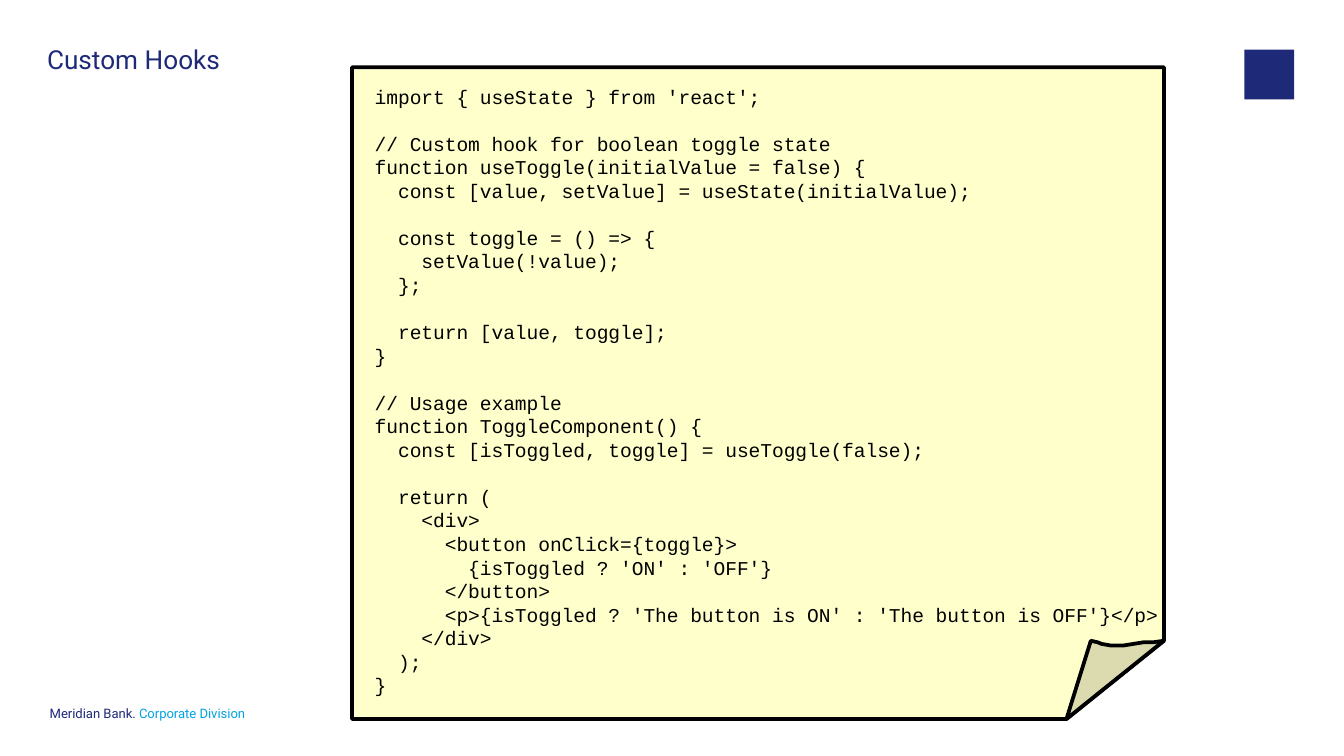
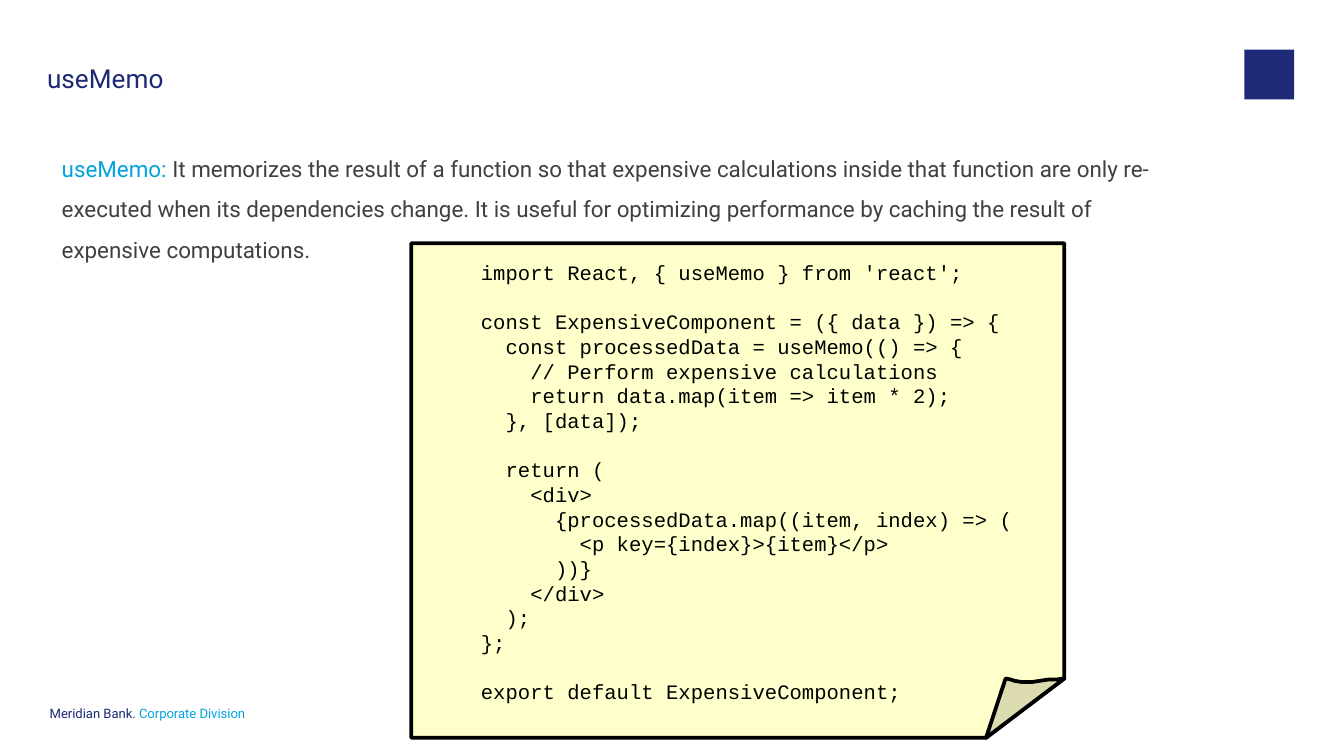
from pptx import Presentation
from pptx.dml.color import RGBColor
from pptx.enum.shapes import MSO_SHAPE
from pptx.enum.text import MSO_ANCHOR, MSO_AUTO_SIZE, PP_ALIGN
from pptx.util import Inches, Pt

COLS, ROWS = 100, 56.25  # square grid cells over the whole 16:9 slide
CELL = Inches(10) / COLS

NAVY, SKY, GREY, BLACK = "1E2A78", "00A3E0", "404040", "000000"
PAPER, CURL = "FFFFCC", "DBDBAF"
SANS, MONO = "Roboto", "Courier New"

FOLD = 0.88  # share of the note's width and height where the corner folds
PAGE_OUTLINE = [(0, 0), (1, 0), (1, FOLD), (FOLD, 1), (0, 1)]
# Points as shares of the folded corner
CURL_OUTLINE = [(1, 0), (0.89, 0.02), (0.79, 0.02), (0.59, 0.06), (0.45, 0.06),
                (0.36, 0.04), (0.32, 0.02), (0.25, 0), (0, 1)]

TOGGLE_CODE = """\
import { useState } from 'react';

// Custom hook for boolean toggle state
function useToggle(initialValue = false) {
  const [value, setValue] = useState(initialValue);

  const toggle = () => {
    setValue(!value);
  };

  return [value, toggle];
}

// Usage example
function ToggleComponent() {
  const [isToggled, toggle] = useToggle(false);

  return (
    <div>
      <button onClick={toggle}>
        {isToggled ? 'ON' : 'OFF'}
      </button>
      <p>{isToggled ? 'The button is ON' : 'The button is OFF'}</p>
    </div>
  );
}"""

MEMO_CODE = """\
import React, { useMemo } from 'react';

const ExpensiveComponent = ({ data }) => {
  const processedData = useMemo(() => {
    // Perform expensive calculations
    return data.map(item => item * 2);
  }, [data]);

  return (
    <div>
      {processedData.map((item, index) => (
        <p key={index}>{item}</p>
      ))}
    </div>
  );
};

export default ExpensiveComponent;"""

MEMO_TEXT = ("It memorizes the result of a function so that expensive calculations inside "
             "that function are only re-executed when its dependencies change. It is useful "
             "for optimizing performance by caching the result of expensive computations.")


def grid(*cells):
    """Turn grid cells into slide lengths."""
    return [round(c * CELL) for c in cells]


def rgb(hex_string):
    return RGBColor.from_string(hex_string)


def add_run(p, text, size, color, font=SANS):
    r = p.add_run()
    r.text = text
    r.font.size = Pt(size)
    r.font.name = font
    r.font.color.rgb = rgb(color)


def setup_frame(tf, margin_x=0, margin_y=0):
    tf.word_wrap = True
    tf.auto_size = MSO_AUTO_SIZE.NONE
    tf.vertical_anchor = MSO_ANCHOR.TOP
    tf.margin_left = tf.margin_right = Inches(margin_x)
    tf.margin_top = tf.margin_bottom = Inches(margin_y)
    return tf


def add_text(s, box, runs, size, spacing, margins=(0, 0)):
    """Add a one-paragraph text box; runs are (text, colour) pairs."""
    tf = setup_frame(s.shapes.add_textbox(*grid(*box)).text_frame, *margins)
    p = tf.paragraphs[0]
    p.line_spacing = spacing
    for text, color in runs:
        add_run(p, text, size, color)


def set_title(s, text, spacing):
    title = s.shapes.title
    title.left, title.top, title.width, title.height = grid(3.5, 3.5, 85.4, 3.9)
    p = setup_frame(title.text_frame).paragraphs[0]
    p.alignment = PP_ALIGN.LEFT
    p.line_spacing = spacing
    add_run(p, text, 14, NAVY)


def add_outline(shapes, box, points, fill):
    """Add a closed polygon whose points are shares of box."""
    x, y, w, h = box
    corners = [tuple(grid(x + u * w, y + v * h)) for u, v in points]
    builder = shapes.build_freeform(*corners[0], scale=1.0)
    builder.add_line_segments(corners[1:], close=True)
    sp = builder.convert_to_shape()
    sp.shadow.inherit = False
    sp.fill.solid()
    sp.fill.fore_color.rgb = rgb(fill)
    sp.line.color.rgb = rgb(BLACK)
    sp.line.width = Pt(2)


def add_note(s, box):
    """Add a sheet of paper with its bottom right corner curled up."""
    x, y, w, h = box
    shapes = s.shapes.add_group_shape().shapes
    add_outline(shapes, box, PAGE_OUTLINE, PAPER)
    corner = (x + FOLD * w, y + FOLD * h, (1 - FOLD) * w, (1 - FOLD) * h)
    add_outline(shapes, corner, CURL_OUTLINE, CURL)


def add_code(s, box, code, size):
    """Add code line by line; an empty line becomes space before the next one."""
    tf = setup_frame(s.shapes.add_textbox(*grid(*box)).text_frame, 0.1, 0.05)
    pitch = Pt(1.2 * size)
    p, gap = tf.paragraphs[0], False
    for i, line in enumerate(code.splitlines()):
        if not line:
            gap = True
            continue
        if i:
            p = tf.add_paragraph()
        p.line_spacing = pitch
        if gap:
            p.space_before = pitch
            gap = False
        add_run(p, line, size, BLACK, MONO)


def add_slide(prs, title, title_spacing):
    """Add a slide with the shared title style, footer and corner mark."""
    s = prs.slides.add_slide(prs.slide_layouts[5])
    add_text(s, (3.7, 52.55, 19.7, 2.6),
             [("Meridian Bank. ", NAVY), ("Corporate Division", SKY)], 7, Pt(8))
    mark = s.shapes.add_shape(MSO_SHAPE.RECTANGLE, *grid(92.6, 3.7, 3.7, 3.7))
    mark.shadow.inherit = False
    mark.fill.solid()
    mark.fill.fore_color.rgb = rgb(NAVY)
    mark.line.fill.background()
    set_title(s, title, title_spacing)
    return s


def main():
    prs = Presentation()
    prs.slide_width, prs.slide_height = grid(COLS, ROWS)

    s = add_slide(prs, "Custom Hooks", 0.9)
    add_note(s, (26.2, 5, 60.4, 48.5))
    add_code(s, (26.9, 5.8, 63.7, 47), TOGGLE_CODE, 10.5)

    s = add_slide(prs, "useMemo", 1.5)
    add_note(s, (30.6, 18.1, 48.6, 36.8))
    add_text(s, (3.5, 9.95, 85.4, 9.9),
             [("useMemo: ", SKY), (MEMO_TEXT, GREY)], 12, 1.5, (0.11, 0.06))
    add_code(s, (34.8, 18.85, 54.1, 36.2), MEMO_CODE, 11)

    prs.save("out.pptx")


if __name__ == "__main__":
    main()
